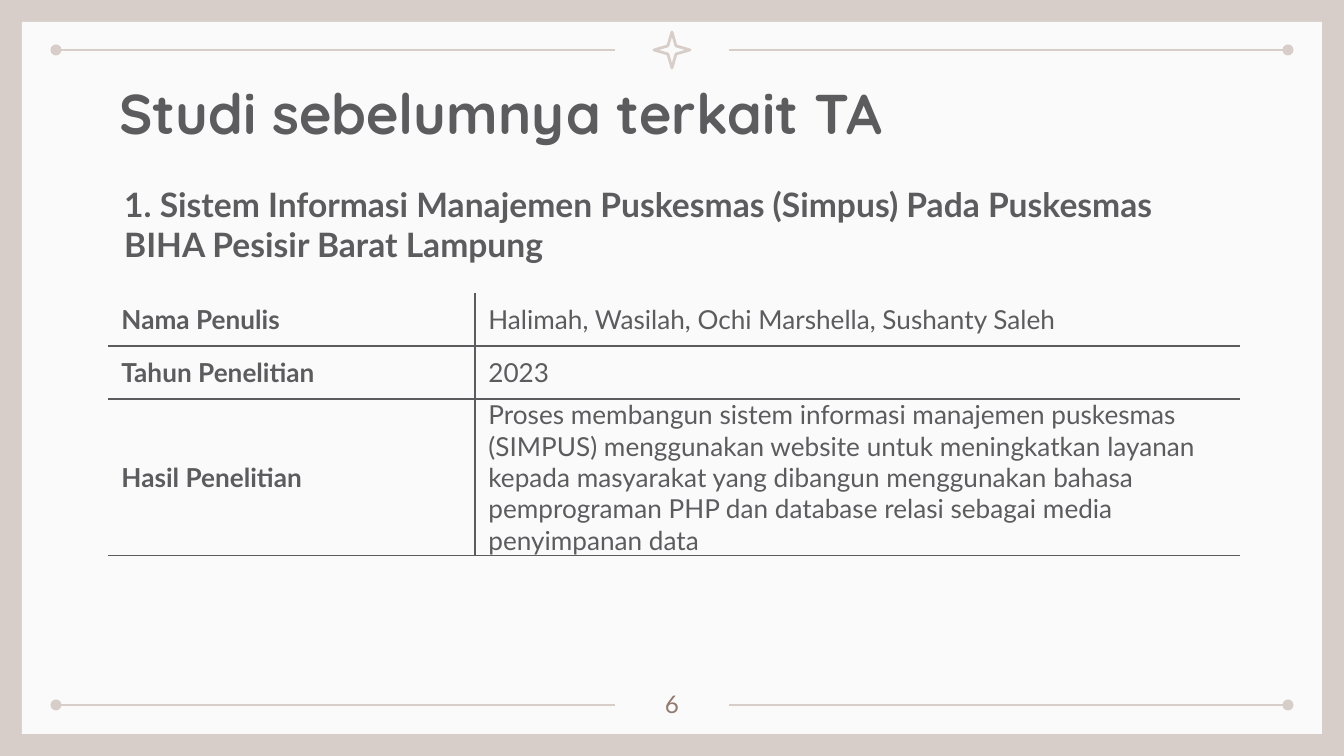
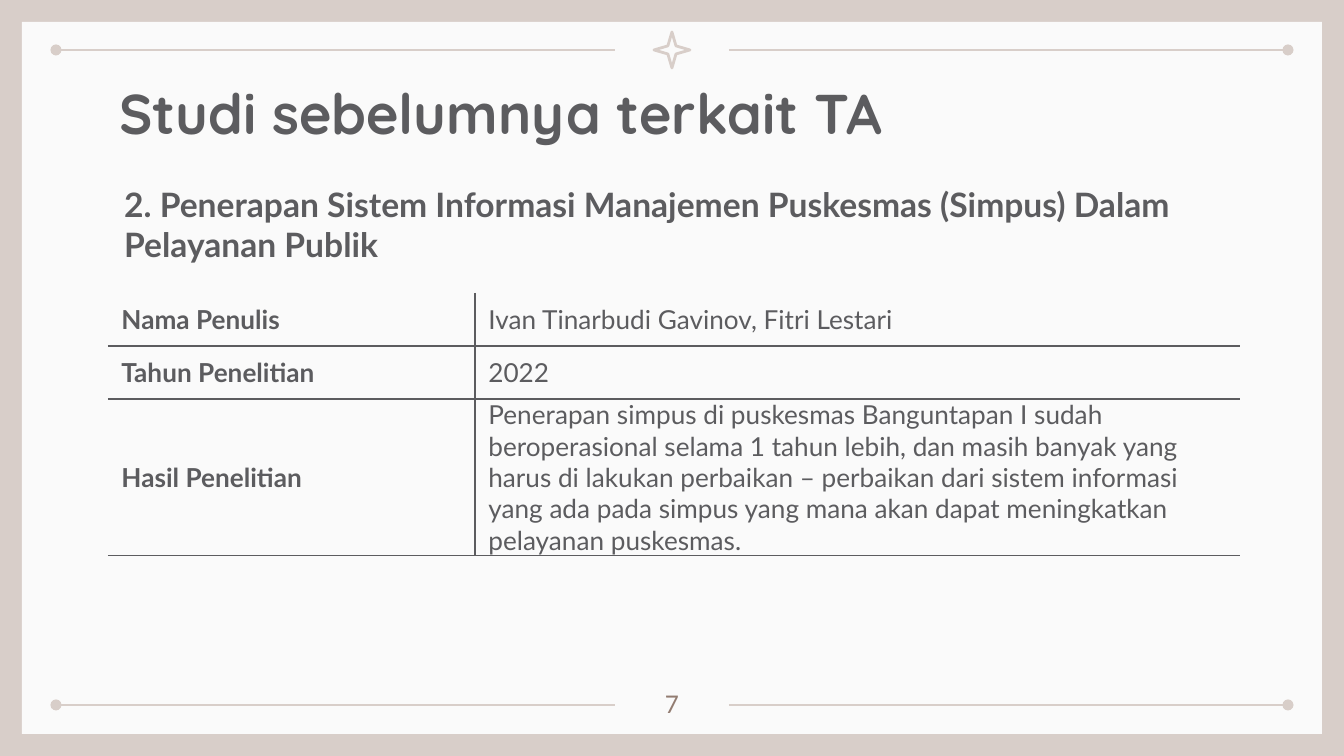
"""Builds two slides on earlier studies, each with a framed page and a table."""
from lxml.etree import SubElement
from pptx import Presentation
from pptx.dml.color import RGBColor
from pptx.enum.shapes import MSO_CONNECTOR, MSO_SHAPE
from pptx.enum.text import MSO_ANCHOR, PP_ALIGN
from pptx.oxml.ns import qn
from pptx.util import Pt

PX = 9144000 / 1344
HEX = {"band": "D8CEC9", "page": "FAFAFA", "text": "5C5C5F", "number": "927C71"}
TONE = {name: RGBColor.from_string(value) for name, value in HEX.items()}
TITLE = "Studi sebelumnya terkait TA"
LABELS = ["Nama Penulis", "Tahun Penelitian", "Hasil Penelitian"]
COLS = [367, 765]
ROWS = [53, 53, 157]
STUDIES = [
    (6, "1. Sistem Informasi Manajemen Puskesmas (Simpus) Pada Puskesmas BIHA Pesisir Barat Lampung",
     ["Halimah, Wasilah, Ochi Marshella, Sushanty Saleh",
      "2023",
      "Proses membangun sistem informasi manajemen puskesmas (SIMPUS) menggunakan website "
      "untuk meningkatkan layanan kepada masyarakat yang dibangun menggunakan bahasa "
      "pemprograman PHP dan database relasi sebagai media penyimpanan data"]),
    (7, "2. Penerapan Sistem Informasi Manajemen Puskesmas (Simpus) Dalam Pelayanan Publik",
     ["Ivan Tinarbudi Gavinov, Fitri Lestari",
      "2022",
      "Penerapan simpus di puskesmas Banguntapan I sudah beroperasional selama 1 tahun lebih, "
      "dan masih banyak yang harus di lakukan perbaikan – perbaikan dari sistem informasi "
      "yang ada pada simpus yang mana akan dapat meningkatkan pelayanan puskesmas."]),
]


def px(*sizes):
    return [round(size * PX) for size in sizes]


def write(frame, text, size, bold=False, face="Lato", tone="text"):
    frame.word_wrap = True
    para = frame.paragraphs[0]
    para.text = text
    font = para.font
    font.name, font.size, font.bold = face, Pt(size), bold
    font.color.rgb = TONE[tone]
    return para


deck = Presentation()
deck.slide_width, deck.slide_height = px(1344, 756)

for number, topic, facts in STUDIES:
    slide = deck.slides.add_slide(deck.slide_layouts[6])
    shapes = slide.shapes
    back = slide.background.fill
    back.solid()
    back.fore_color.rgb = TONE["band"]

    page = shapes.add_shape(MSO_SHAPE.RECTANGLE, *px(22, 22, 1300, 712))
    page.shadow.inherit = False
    page.fill.solid()
    page.fill.fore_color.rgb = TONE["page"]
    page.line.fill.background()

    for y in (50, 705):
        for start, stop, end in ((56, 615, "headEnd"), (729, 1288, "tailEnd")):
            rule = shapes.add_connector(MSO_CONNECTOR.STRAIGHT, *px(start, y, stop, y))
            rule.line.color.rgb = TONE["band"]
            rule.line.width = Pt(1.5)
            props = rule._element.spPr
            SubElement(props.find(qn("a:ln")), qn("a:" + end), type="oval")
            SubElement(props, qn("a:effectLst"))

    star = shapes.add_shape(MSO_SHAPE.STAR_4_POINT, *px(654, 32, 36, 36))
    star.adjustments[0] = 0.16
    star.shadow.inherit = False
    star.fill.background()
    star.line.color.rgb = TONE["band"]
    star.line.width = Pt(1.5)

    title = shapes.add_textbox(*px(106, 66, 1133, 85)).text_frame
    write(title, TITLE, 30, True, "Quicksand")
    title.margin_top = title.margin_bottom = px(13)[0]

    grid = shapes.add_table(3, 2, *px(108, 293, sum(COLS), sum(ROWS))).table
    grid.first_row = grid.horz_banding = False
    for col, width in zip(grid.columns, px(*COLS)):
        col.width = width
    for i, (row, height) in enumerate(zip(grid.rows, px(*ROWS))):
        row.height = height
        for j, text in enumerate((LABELS[i], facts[i])):
            cell = grid.cell(i, j)
            para = write(cell.text_frame, text, 14, j == 0)
            if j == 1 and i < 2:
                para.space_after = Pt(16)
            cell.vertical_anchor = MSO_ANCHOR.MIDDLE
            cell.margin_top = cell.margin_bottom = 0
            props = cell._tc.get_or_add_tcPr()
            sides = {"L": j == 1, "R": j == 0, "T": i > 0, "B": True}
            for side, shown in sides.items():
                edge = SubElement(props, qn("a:ln" + side), w=str(Pt(0.75)))
                if shown:
                    fill = SubElement(edge, qn("a:solidFill"))
                    SubElement(fill, qn("a:srgbClr"), val=HEX["text"])
                else:
                    SubElement(edge, qn("a:noFill"))
            cell.fill.background()

    foot = shapes.add_textbox(*px(632, 676, 80, 48)).text_frame
    write(foot, str(number), 13, tone="number").alignment = PP_ALIGN.CENTER
    foot.margin_top = foot.margin_bottom = px(13)[0]

    head = shapes.add_textbox(*px(111, 177, 1133, 95)).text_frame
    write(head, topic, 18, True)

deck.save("out.pptx")
